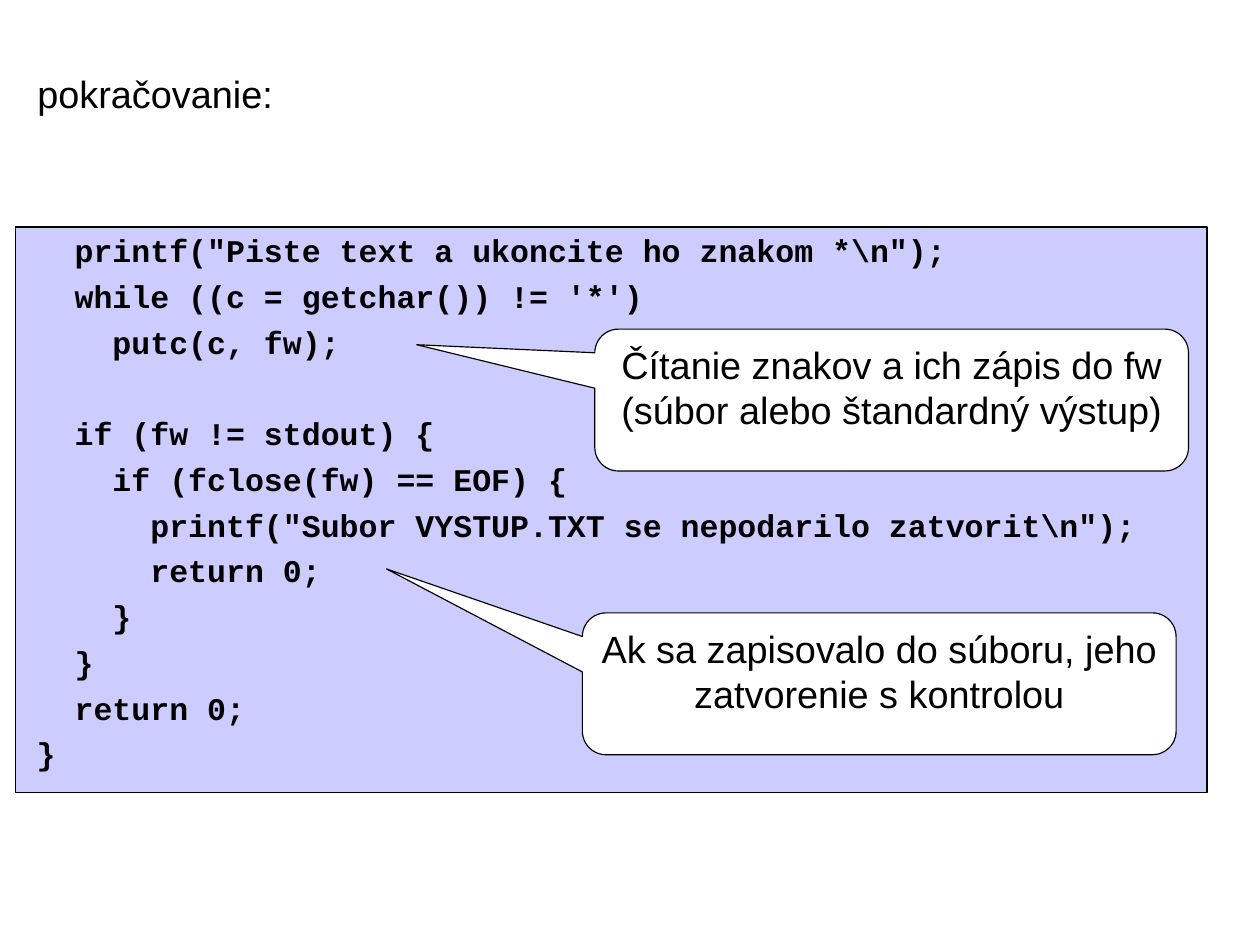
from dataclasses import dataclass

from pptx import Presentation
from pptx.dml.color import RGBColor
from pptx.enum import shapes, text
from pptx.util import Pt

CODE = r"""  printf("Piste text a ukoncite ho znakom *\n");
  while ((c = getchar()) != '*')
    putc(c, fw);

  if (fw != stdout) {
    if (fclose(fw) == EOF) {
      printf("Subor VYSTUP.TXT se nepodarilo zatvorit\n");
      return 0;
    }
  }
  return 0;
}"""
CODE_GAP = 5
CODE_PITCH = 29


@dataclass
class Callout:
    left: float
    top: float
    tip_x: float
    tip_y: float
    words: str


CALLOUTS = [
    Callout(377.3, 208.8, -0.8, -0.39,
            "Čítanie znakov a ich zápis do fw (súbor alebo štandardný výstup)"),
    Callout(369.4, 388.8, -0.83, -0.81,
            "Ak sa zapisovalo do súboru, jeho zatvorenie s kontrolou"),
]


def color(value: str) -> RGBColor:
    return RGBColor.from_string(value)


def add_box(s, kind, left: float, top: float, width: float, height: float, fill: str):
    sp = s.shapes.add_shape(kind, Pt(left), Pt(top), Pt(width), Pt(height))
    sp.shadow.inherit = False
    sp.fill.solid()
    sp.fill.fore_color.rgb = color(fill)
    sp.line.color.rgb = color("000000")
    sp.line.width = Pt(0.75)
    return sp


def set_frame(tf, side: float, end: float) -> None:
    tf.word_wrap = True
    tf.vertical_anchor = text.MSO_ANCHOR.TOP
    tf.margin_left = tf.margin_right = Pt(side)
    tf.margin_top = tf.margin_bottom = Pt(end)


def set_paragraph(p, words: str, size: float, font: str = "Arial", bold: bool = False) -> None:
    p.text = words
    p.font.name = font
    p.font.size = Pt(size)
    p.font.bold = bold
    p.font.color.rgb = color("000000")


def add_text(s, left: float, top: float, width: float, height: float):
    sp = s.shapes.add_textbox(Pt(left), Pt(top), Pt(width), Pt(height))
    set_frame(sp.text_frame, 7.9, 4.3)
    return sp.text_frame


def add_code(s) -> None:
    tf = add_text(s, 15.4, 142.5, 768, 360)
    p = tf.paragraphs[0]
    for i, block in enumerate(CODE.split("\n\n")):
        for j, line in enumerate(block.split("\n")):
            if i or j:
                p = tf.add_paragraph()
                p.space_before = Pt(CODE_GAP if j else CODE_GAP + CODE_PITCH)
            set_paragraph(p, line, 20, "Courier New", True)


def add_callout(s, c: Callout) -> None:
    sp = add_box(s, shapes.MSO_SHAPE.ROUNDED_RECTANGULAR_CALLOUT,
                 c.left, c.top, 376.6, 90, "FFFFFF")
    for i, value in enumerate((c.tip_x, c.tip_y, 0.167)):
        sp.adjustments[i] = value
    set_frame(sp.text_frame, 7.2, 3.6)
    p = sp.text_frame.paragraphs[0]
    set_paragraph(p, c.words, 24)
    p.alignment = text.PP_ALIGN.CENTER


def main() -> None:
    prs = Presentation()
    prs.slide_width, prs.slide_height = Pt(799.2), Pt(597.6)
    s = prs.slides.add_slide(prs.slide_layouts[6])
    add_box(s, shapes.MSO_SHAPE.RECTANGLE, 9.6, 144, 756, 358.6, "CCCCFF")
    add_code(s)
    heading = add_text(s, 15.8, 40.5, 204.5, 54)
    set_paragraph(heading.paragraphs[0], "pokračovanie:", 24)
    for c in CALLOUTS:
        add_callout(s, c)
    prs.save("out.pptx")


if __name__ == "__main__":
    main()
